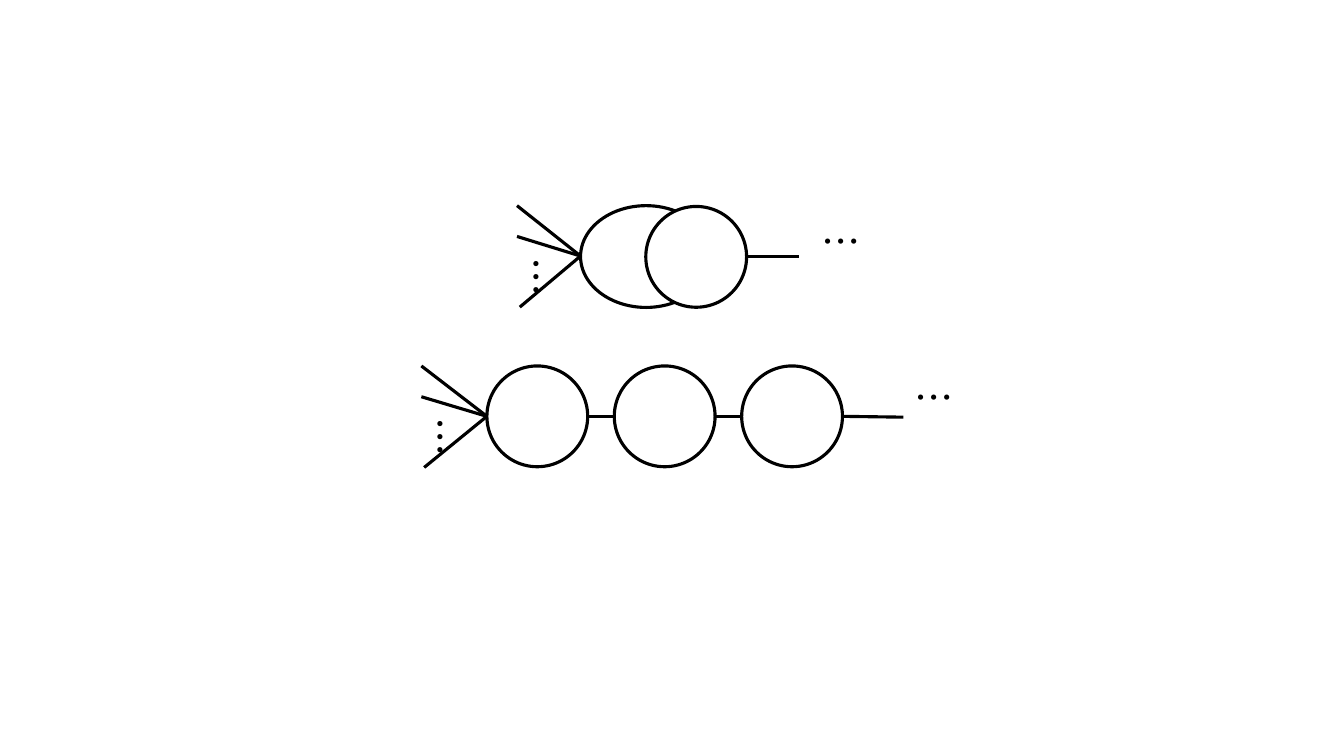
from pptx import Presentation
from pptx.dml.color import RGBColor
from pptx.enum import shapes, text
from pptx.oxml import ns
from pptx.util import Pt
from lxml import etree

COLORS = {"ink": "000000", "paper": "FFFFFF"}
FONT = "Noto Sans CJK SC"
SIZE = 72
PITCH = 91


def color(name):
    """Return the named colour."""
    return RGBColor.from_string(COLORS[name])


def add_line(s, x1, y1, x2, y2):
    """Draw a straight black line."""
    c = s.shapes.add_connector(shapes.MSO_CONNECTOR.STRAIGHT, Pt(x1), Pt(y1), Pt(x2), Pt(y2))
    c.line.color.rgb = color("ink")
    c.line.width = Pt(2.25)
    etree.SubElement(c._element.spPr, ns.qn("a:effectLst"))


def add_node(s, x, y, w, h, filled=True):
    """Draw an outlined ellipse."""
    sp = s.shapes.add_shape(shapes.MSO_SHAPE.OVAL, Pt(x), Pt(y), Pt(w), Pt(h))
    sp.shadow.inherit = False
    if filled:
        sp.fill.solid()
        sp.fill.fore_color.rgb = color("paper")
    else:
        sp.fill.background()
    sp.line.color.rgb = color("ink")
    sp.line.width = Pt(2.25)


def add_dots(s, x, y, rotation=0):
    """Write an ellipsis, turned when a rotation is given."""
    sp = s.shapes.add_textbox(Pt(x), Pt(y), Pt(26), Pt(29))
    sp.rotation = rotation
    tf = sp.text_frame
    tf.word_wrap = True
    tf.auto_size = text.MSO_AUTO_SIZE.NONE
    tf.vertical_anchor = text.MSO_ANCHOR.TOP
    tf.margin_left = Pt(6)
    tf.margin_top = tf.margin_right = tf.margin_bottom = 0
    p = tf.paragraphs[0]
    p.alignment = text.PP_ALIGN.LEFT
    r = p.add_run()
    r.text = "…"
    r.font.size = Pt(28)
    r.font.name = FONT
    r.font.color.rgb = color("ink")
    ea = etree.SubElement(r._r.get_or_add_rPr(), ns.qn("a:ea"))
    ea.set("typeface", FONT)


def add_fan(s, x, y, w):
    """Draw the incoming lines that meet halfway down the right side of the box."""
    for dx, dy in ((0, 0), (0, 22), (2, 72.5)):
        add_line(s, x + dx, y + dy, x + w, y + 36)
    add_dots(s, x + 3.6, y + 29.5, 90)


def add_overlap(s, x, y):
    """Draw the fan and the two overlapping nodes."""
    fan = 45.4
    add_node(s, x + fan, y, 93.6, 72.7, filled=False)
    add_fan(s, x, y, fan)
    add_line(s, x + 164, y + 36.5, x + 201.5, y + 36.5)
    add_node(s, x + 92, y + 0.6, SIZE, SIZE)
    add_dots(s, x + 211.7, y + 8)


def add_chain(s, x, y, count=3):
    """Draw the fan and a chain of evenly spaced nodes."""
    fan = 46.8
    mid = y + SIZE / 2
    add_fan(s, x, y, fan)
    for i in range(count):
        left = x + fan + i * PITCH
        right = left + SIZE
        add_node(s, left, y, SIZE, SIZE)
        if i < count - 1:
            add_line(s, right, mid, left + PITCH, mid)
    add_line(s, right, mid, right + 43.5, mid + 0.6)
    add_dots(s, right + 45.6, y + 5)


def main():
    """Build and save the slide."""
    prs = Presentation()
    prs.slide_width, prs.slide_height = Pt(960), Pt(540)
    s = prs.slides.add_slide(prs.slide_layouts[6])
    add_overlap(s, 369.3, 146.9)
    add_chain(s, 301, 261.4)
    prs.save("out.pptx")


if __name__ == "__main__":
    main()
